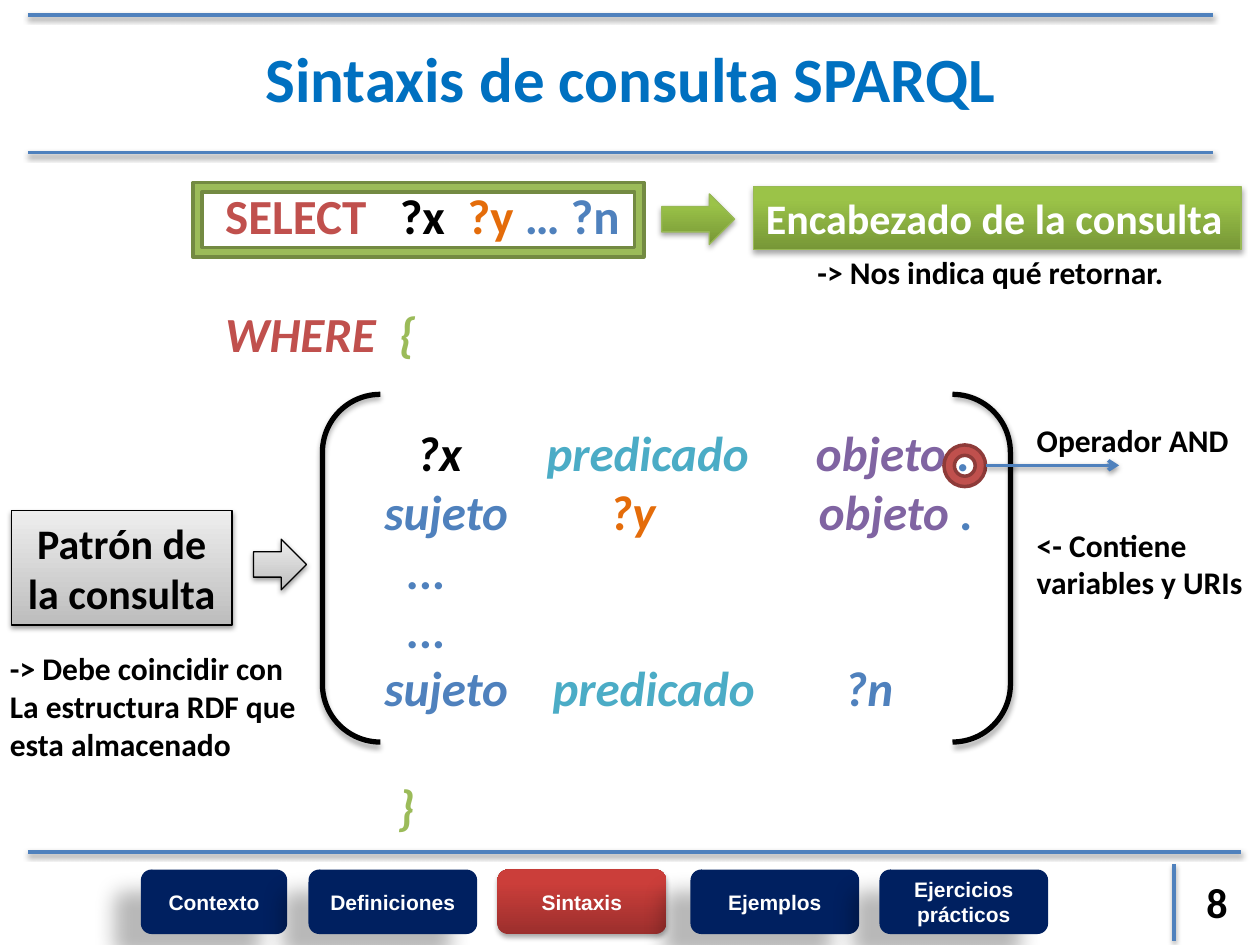
from dataclasses import dataclass

from lxml.etree import SubElement
from pptx import Presentation
from pptx.dml.color import RGBColor
from pptx.enum.shapes import MSO_CONNECTOR, MSO_SHAPE
from pptx.enum.text import MSO_ANCHOR, PP_ALIGN
from pptx.oxml.ns import qn
from pptx.util import Cm, Pt


@dataclass(frozen=True)
class Theme:
    black: str = "000000"
    white: str = "FFFFFF"
    title: str = "0070C0"
    navy: str = "002060"
    blue: str = "4F81BD"
    red: str = "C0504D"
    red_edge: str = "8E3B39"
    green: str = "9BBB59"
    green_edge: str = "738A42"
    lime_edge: str = "98B955"
    orange: str = "E46C0A"
    teal: str = "4BACC6"
    purple: str = "8064A2"
    lime_fade: tuple = ("779737", "9BC348", 0.8)
    gray_fade: tuple = ("BDBDBD", "EEEEEE", 1)
    red_fade: tuple = ("9C2F2D", "CB3E3A", 0.8)
    soft: tuple = (38, 3.1, 1.6, 90)
    firm: tuple = (35, 3.1, 1.8, 90)
    deep: tuple = (28, 11.8, 19.7, 141)
    body_font: str = "Calibri"
    menu_font: str = "Arial"
    title_size: int = 36
    code_size: int = 28
    head_size: int = 24
    note_size: int = 18
    menu_size: int = 12


THEME = Theme()


@dataclass(frozen=True)
class Box:
    left: float
    top: float
    width: float
    height: float

    def inner(self, left, top, width, height):
        return Box(self.left + left, self.top + top, width, height)

    def lengths(self):
        return Cm(self.left), Cm(self.top), Cm(self.width), Cm(self.height)


def color(value):
    return RGBColor.from_string(value)


def add_shadow(item, shadow):
    effects = SubElement(item._element.spPr, qn("a:effectLst"))
    if shadow:
        alpha, blur, distance, angle = shadow
        outer = SubElement(effects, qn("a:outerShdw"), blurRad=str(Pt(blur)), dist=str(Pt(distance)),
                           dir=str(angle * 60000), algn="ctr", rotWithShape="0")
        tint = SubElement(outer, qn("a:srgbClr"), val=THEME.black)
        SubElement(tint, qn("a:alpha"), val=str(alpha * 1000))


def add_span(para, text, size=THEME.note_size, ink=THEME.black, font=THEME.body_font, italic=False):
    span = para.add_run()
    span.text = text
    span.font.name = font
    span.font.size = Pt(size)
    span.font.bold = True
    span.font.italic = italic
    span.font.color.rgb = color(ink)


def write(item, text, align=PP_ALIGN.LEFT, anchor=MSO_ANCHOR.MIDDLE, **style):
    frame = item.text_frame
    frame.word_wrap = True
    frame.vertical_anchor = anchor
    for index, line in enumerate(text.split("\n")):
        para = frame.add_paragraph() if index else frame.paragraphs[0]
        para.alignment = align
        add_span(para, line, **style)


def add_label(page, box, text, **style):
    write(page.shapes.add_textbox(*box.lengths()), text, **style)


def add_form(page, kind, box, fill=None, edge=None, weight=0.75, shadow=None):
    form = page.shapes.add_shape(kind, *box.lengths())
    if isinstance(fill, tuple):
        first, last, end = fill
        form.fill.gradient()
        form.fill.gradient_angle = 90
        for stop, value, position in zip(form.fill.gradient_stops, (first, last), (0, end)):
            stop.color.rgb = color(value)
            stop.position = position
    elif fill:
        form.fill.solid()
        form.fill.fore_color.rgb = color(fill)
    else:
        form.fill.background()
    if edge:
        form.line.color.rgb = color(edge)
        form.line.width = Pt(weight)
    else:
        form.line.fill.background()
    add_shadow(form, shadow)
    return form


def add_rule(page, box, arrow=False):
    rule = page.shapes.add_connector(MSO_CONNECTOR.STRAIGHT, Cm(box.left), Cm(box.top),
                                     Cm(box.left + box.width), Cm(box.top + box.height))
    rule.line.color.rgb = color(THEME.blue)
    rule.line.width = Pt(2)
    if arrow:
        SubElement(rule._element.spPr.find(qn("a:ln")), qn("a:tailEnd"), type="arrow")
    add_shadow(rule, THEME.soft)


def add_header(page, box, title):
    for top in (0, box.height):
        add_rule(page, box.inner(0, top, box.width, 0))
    add_label(page, box.inner(2.44, -1.27, 19.43, 5.05), title, align=PP_ALIGN.CENTER,
              size=THEME.title_size, ink=THEME.title)


def add_query(page, box):
    blue, teal, purple = THEME.blue, THEME.teal, THEME.purple
    subject = (3.21, "sujeto", blue)
    dots = [(3.66, "...", blue)]
    rows = [
        (0, [(0, "SELECT", THEME.red), (3.52, "?x", THEME.black), (4.89, "?y", THEME.orange),
             (6.04, "… ?n", blue)]),
        (1, [(0, "WHERE", THEME.red), (3.5, "{", THEME.green)]),
        (1, [(3.86, "?x", THEME.black), (6.48, "predicado", teal), (11.91, "objeto ", purple),
             (None, ".", blue)]),
        (0, [subject, (7.75, "?y", THEME.orange), (11.97, "objeto ", purple), (None, ".", blue)]),
        (0, dots),
        (0, dots),
        (0, [subject, (6.6, "predicado", teal), (12.49, "?n", blue)]),
        (1, [(3.48, "}", THEME.green)]),
    ]
    frame = page.shapes.add_textbox(*box.lengths()).text_frame
    frame.word_wrap = True
    for index, (gap, spans) in enumerate(rows):
        para = frame.add_paragraph() if index else frame.paragraphs[0]
        para.alignment = PP_ALIGN.LEFT
        para.space_before = Pt(gap * 34.2)
        tabs = SubElement(para._p.get_or_add_pPr(), qn("a:tabLst"))
        for stop, text, ink in spans:
            if stop:
                SubElement(tabs, qn("a:tab"), pos=str(Cm(stop)), algn="l")
                text = "\t" + text
            add_span(para, text, size=THEME.code_size, ink=ink, italic=index > 0)


def add_heading_notes(page, box):
    add_form(page, MSO_SHAPE.FRAME, box.inner(0, 0, 9.09, 1.5), THEME.green, THEME.green_edge, 2)
    add_form(page, MSO_SHAPE.RIGHT_ARROW, box.inner(9.45, 0.23, 1.47, 1.02),
             THEME.lime_fade, THEME.lime_edge, shadow=THEME.firm)
    banner = add_form(page, MSO_SHAPE.RECTANGLE, box.inner(11.3, 0.08, 9.83, 1.27),
                      THEME.lime_fade, THEME.lime_edge, shadow=THEME.firm)
    write(banner, "Encabezado de la consulta", size=THEME.head_size, ink=THEME.white)
    add_label(page, box.inner(12.34, 1.3, 9.14, 1.02), "-> Nos indica qué retornar.")


def add_pattern_notes(page, box):
    add_form(page, MSO_SHAPE.DOUBLE_BRACKET, box.inner(6.27, 0, 13.87, 7.01),
             edge=THEME.black, weight=3, shadow=THEME.firm)
    panel = add_form(page, MSO_SHAPE.RECTANGLE, box.inner(0, 2.34, 4.45, 2.31),
                     THEME.gray_fade, THEME.black, shadow=THEME.soft)
    write(panel, "Patrón de\nla consulta", align=PP_ALIGN.CENTER, size=THEME.head_size)
    add_form(page, MSO_SHAPE.RIGHT_ARROW, box.inner(4.88, 2.92, 1.07, 1.02),
             THEME.gray_fade, THEME.black, shadow=THEME.soft)
    add_label(page, box.inner(-0.28, 5, 9.14, 2.57),
              "-> Debe coincidir con\nLa estructura RDF que\nesta almacenado")
    add_label(page, box.inner(20.42, 2.51, 5.03, 1.8), "<- Contiene\nvariables y URIs")
    add_form(page, MSO_SHAPE.DONUT, box.inner(18.8, 1.02, 0.84, 0.84), THEME.red, THEME.red_edge, 2)
    add_rule(page, box.inner(19.64, 1.43, 2.69, 0), arrow=True)
    add_label(page, box.inner(20.42, 0.41, 5.03, 1.02), "Operador AND")


def add_navigation(page, box, active, number):
    add_rule(page, box.inner(0, 0, box.width, 0))
    buttons = [("Contexto", 2.28, 2.95), ("Definiciones", 5.66, 3.4), ("Sintaxis", 9.47, 3.4),
               ("Ejemplos", 13.36, 3.4), ("Ejercicios prácticos", 17.17, 3.4)]
    for name, left, width in buttons:
        fill, shadow = (THEME.red_fade, THEME.firm) if name == active else (THEME.navy, THEME.deep)
        button = add_form(page, MSO_SHAPE.ROUNDED_RECTANGLE, box.inner(left, 0.36, width, 1.3),
                          fill, shadow=shadow)
        write(button, name, align=PP_ALIGN.CENTER, size=THEME.menu_size, ink=THEME.white,
              font=THEME.menu_font)
    add_rule(page, box.inner(23.11, 0.25, 0, 1.55))
    add_label(page, box.inner(23.11, 0.38, 1.73, 1.27), number, align=PP_ALIGN.CENTER,
              size=THEME.head_size)


def main():
    deck = Presentation()
    deck.slide_width, deck.slide_height = Cm(25.4), Cm(19.05)
    page = deck.slides.add_slide(deck.slide_layouts[6])
    add_navigation(page, Box(0.56, 17.17, 24.46, 1.88), "Sintaxis", "8")
    add_header(page, Box(0.56, 0.3, 23.9, 2.78), "Sintaxis de consulta SPARQL")
    add_query(page, Box(4.29, 3.61, 18.26, 14.45))
    add_heading_notes(page, Box(3.89, 3.68, 21.13, 2.32))
    add_pattern_notes(page, Box(0.23, 7.95, 25.17, 7.57))
    deck.save("out.pptx")


if __name__ == "__main__":
    main()
